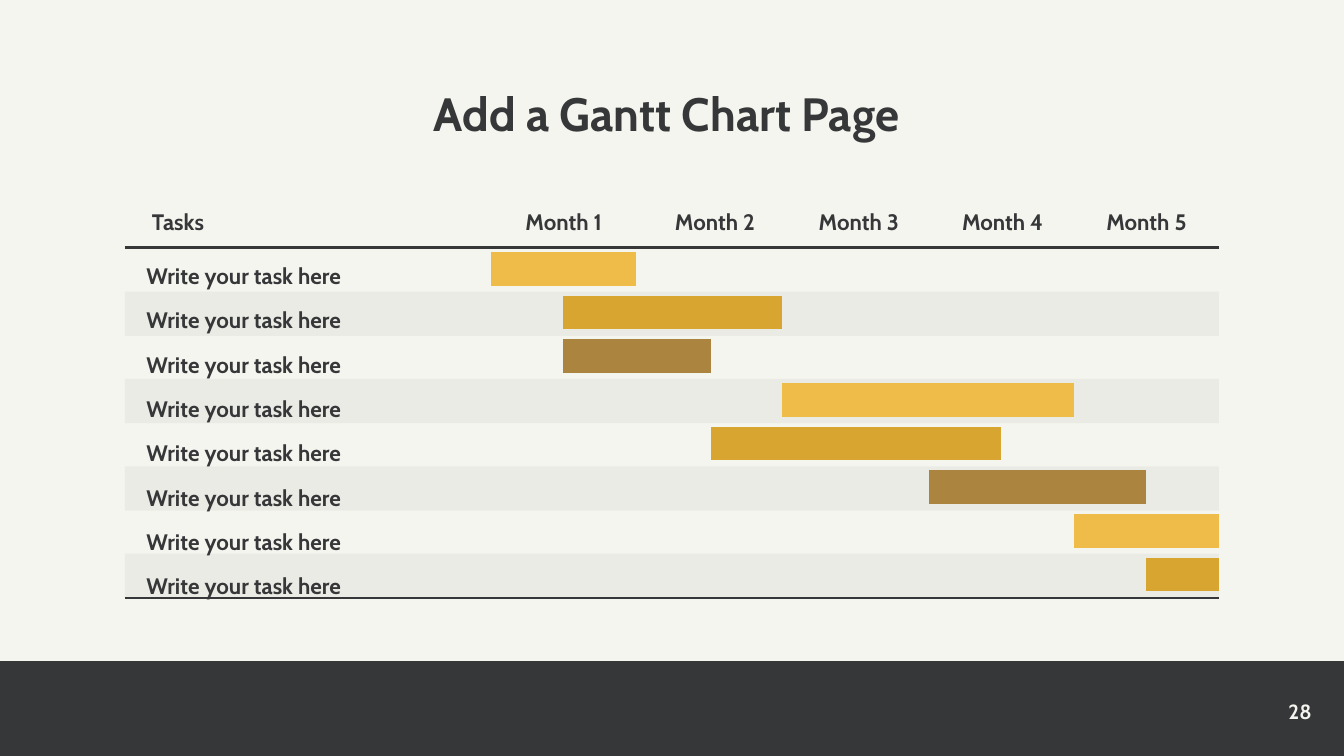
"""Build a Gantt chart slide with eight tasks over five months."""
from lxml import etree
from pptx import Presentation
from pptx.dml.color import RGBColor
from pptx.enum.shapes import MSO_CONNECTOR, MSO_SHAPE
from pptx.enum.text import MSO_ANCHOR, MSO_AUTO_SIZE, PP_ALIGN
from pptx.oxml.ns import qn
from pptx.util import Inches, Pt

STRAIGHT = MSO_CONNECTOR.STRAIGHT
RECT = MSO_SHAPE.RECTANGLE
MIDDLE = MSO_ANCHOR.MIDDLE
GROW = MSO_AUTO_SIZE.SHAPE_TO_FIT_TEXT
CENTER, RIGHT, JUSTIFY = PP_ALIGN.CENTER, PP_ALIGN.RIGHT, PP_ALIGN.JUSTIFY

DARK = RGBColor(0x36, 0x37, 0x39)
CREAM = RGBColor(0xF5, 0xF5, 0xEF)
YELLOW = RGBColor(0xEF, 0xBC, 0x49)
GOLD = RGBColor(0xD8, 0xA5, 0x30)
BROWN = RGBColor(0xAB, 0x85, 0x40)

WIDTH = 10
HEIGHT = WIDTH * 9 / 16
LEFT, END = 0.93, 9.07
EDGES = [3.65, 4.19, 4.73, 5.29, 5.82, 6.37, 6.91, 7.45, 7.99, 8.53, END]
BARS = [
    (0, 2, YELLOW),
    (1, 4, GOLD),
    (1, 3, BROWN),
    (4, 8, YELLOW),
    (3, 7, GOLD),
    (6, 9, BROWN),
    (8, 10, YELLOW),
    (9, 10, GOLD),
]

prs = Presentation()
prs.slide_width, prs.slide_height = Inches(WIDTH), Inches(HEIGHT)
slide = prs.slides.add_slide(prs.slide_layouts[6])
slide.background.fill.solid()
slide.background.fill.fore_color.rgb = CREAM
shapes = slide.shapes


def add_text(text, x, y, w, h, size=12, align=JUSTIFY, space=1.4, color=DARK):
    box = shapes.add_textbox(Inches(x), Inches(y), Inches(w), Inches(h))
    frame = box.text_frame
    frame.margin_left = frame.margin_right = 0
    frame.margin_top = frame.margin_bottom = 0
    frame.word_wrap = True
    frame.text = text
    para = frame.paragraphs[0]
    para.alignment = align
    para.line_spacing = space
    font = para.runs[0].font
    font.name, font.size, font.bold = "Cabin", Pt(size), True
    font.color.rgb = color
    return frame


def add_line(x1, x2, y, color, width):
    line = shapes.add_connector(
        STRAIGHT, Inches(x1), Inches(y), Inches(x2), Inches(y))
    line.line.color.rgb = color
    line.line.width = Pt(width)
    etree.SubElement(line._element.spPr, qn("a:effectLst"))


bands = [(0, 4.92, WIDTH, HEIGHT - 4.92)]
bands += [(LEFT, 2.17 + 0.65 * i, END - LEFT, 0.33) for i in range(4)]
for i, band in enumerate(bands):
    rect = shapes.add_shape(RECT, *map(Inches, band))
    rect.shadow.inherit = False
    rect.fill.solid()
    rect.fill.fore_color.rgb = DARK
    rect.line.fill.background()
    if i > 0:
        tint = rect._element.spPr.find(".//" + qn("a:srgbClr"))
        etree.SubElement(tint, qn("a:alpha")).set("val", "5000")

for y in (1.84, 4.45):
    add_line(LEFT, END, y, DARK, 1.5)

months = [(3.78, 0.83)] + [(4.96 + 1.07 * i, 0.72) for i in range(4)]
for i, (x, w) in enumerate(months, 1):
    month = add_text(f"Month {i}", x, 1.47, w, 0.2, align=CENTER)
    month.auto_size = GROW
add_text("Tasks", 1.13, 1.47, 2.39, 0.2).auto_size = GROW

for i in range(len(BARS)):
    task = add_text("Write your task here", 1.09, 1.87 + 0.33 * i, 2.43, 0.2)
    task.auto_size = GROW

for i, (first, last, color) in enumerate(BARS):
    add_line(EDGES[first], EDGES[last], 2 + 0.325 * i, color, 18)

title = add_text("Add a Gantt Chart Page", LEFT, 0.55, 8.06, 0.42,
                 size=25, align=CENTER, space=1.2)
title.auto_size = GROW
number = add_text("28", 9.16, 5.19, 0.6, 0.2,
                  size=11, align=RIGHT, space=1.0, color=CREAM)
number.vertical_anchor = MIDDLE

prs.save("out.pptx")
